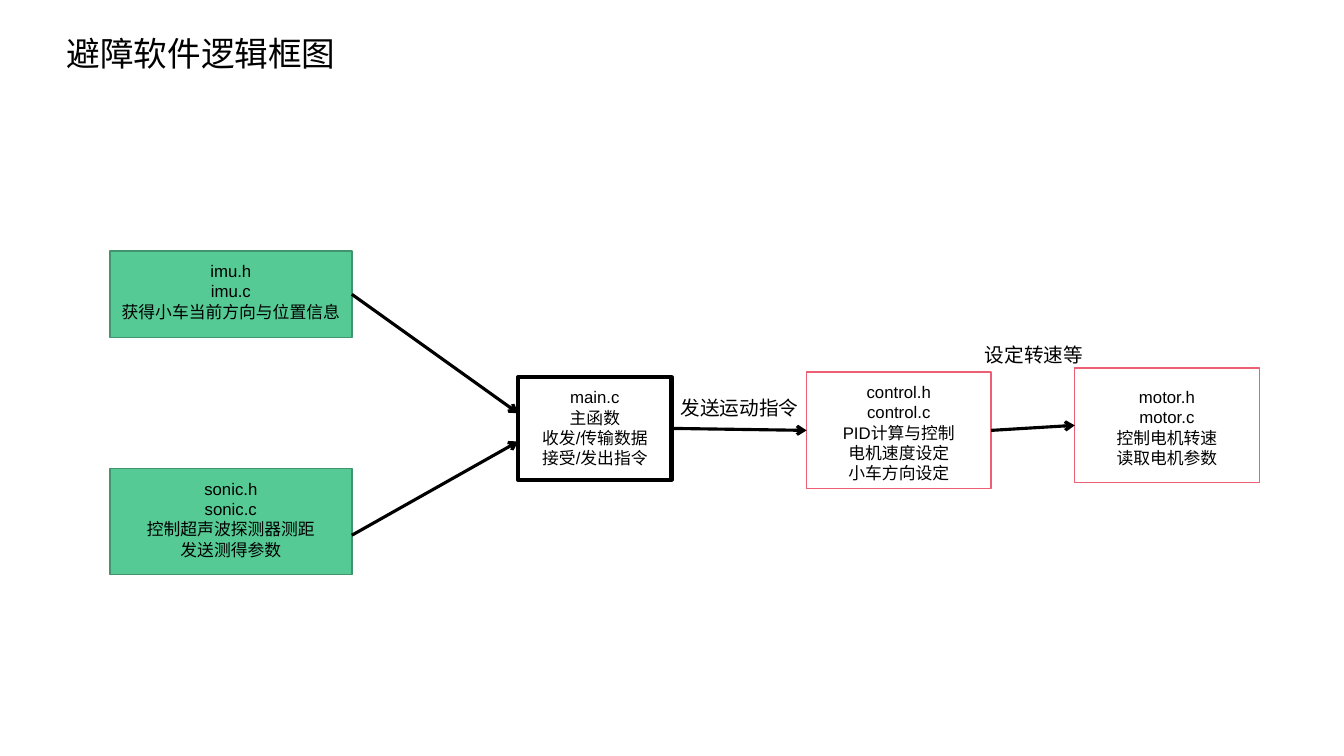
from lxml import etree
from pptx import Presentation
from pptx import util as u
from pptx.dml.color import RGBColor
from pptx.enum import shapes, text
from pptx.oxml.ns import qn

COLOURS = {"ink": "000000", "white": "FFFFFF", "green": "56CA95",
           "green_edge": "40956E", "pink_edge": "EC5F74"}

STYLES = {
    "sensor": {"fill": "green", "edge": "green_edge", "width": 1},
    "main": {"fill": None, "edge": "ink", "width": 3},
    "drive": {"fill": "white", "edge": "pink_edge", "width": 1},
}

# Name: style, left, top, width, height, space above the text, lines
MODULES = {
    "main": ("main", 5.14, 3.74, 1.52, 1.02, 0.1,
             ["main.c", "主函数", "收发/传输数据", "接受/发出指令"]),
    "control": ("drive", 8, 3.69, 1.83, 1.16, 0.1,
                ["control.h", "control.c", "PID计算与控制", "电机速度设定", "小车方向设定"]),
    "motor": ("drive", 10.66, 3.65, 1.83, 1.14, 0.19,
              ["motor.h", "motor.c", "控制电机转速", "读取电机参数"]),
    "sonic": ("sensor", 1.09, 4.65, 2.4, 1.05, 0.1,
              ["sonic.h", "sonic.c", "控制超声波探测器测距", "发送测得参数"]),
    "imu": ("sensor", 1.09, 2.49, 2.4, 0.86, 0.1,
            ["imu.h", "imu.c", "获得小车当前方向与位置信息"]),
}

# Text, left, top, width, height, size
LABELS = [
    ("避障软件逻辑框图", 0, 0.28, 3.99, 0.72, 24),
    ("发送运动指令", 6.43, 3.88, 1.81, 0.34, 14),
    ("设定转速等", 9.58, 3.35, 1.35, 0.34, 14),
]

# Start, end, and the modules joined at each end (None where off the middle)
ARROWS = [
    ((9.83, 4.23), (10.66, 4.23), "control", "motor"),
    ((6.66, 4.25), (8, 4.25), "main", "control"),
    ((3.49, 2.88), (5.14, 4.1), "imu", None),
    ((3.49, 5.31), (5.14, 4.38), None, None),
]
LEFT_SIDE, RIGHT_SIDE = 1, 3


def colour(name):
    return RGBColor.from_string(COLOURS[name])


def write_lines(frame, lines, size, frame_format):
    """Fill a text frame with centred lines."""
    for name, value in frame_format.items():
        setattr(frame, name, value)
    for index, line in enumerate(lines):
        para = frame.add_paragraph() if index else frame.paragraphs[0]
        para.alignment = text.PP_ALIGN.CENTER
        span = para.add_run()
        span.text = line
        for name, value in {"name": "Arial", "size": u.Pt(size)}.items():
            setattr(span.font, name, value)
        span.font.color.rgb = colour("ink")


def add_module(page, style_name, left, top, width, height, space_above, lines):
    style = STYLES[style_name]
    box = page.shapes.add_shape(shapes.MSO_SHAPE.RECTANGLE,
                                *map(u.Inches, (left, top, width, height)))
    box.shadow.inherit = False
    if style["fill"]:
        box.fill.solid()
        box.fill.fore_color.rgb = colour(style["fill"])
    else:
        box.fill.background()
    box.line.color.rgb = colour(style["edge"])
    box.line.width = u.Pt(style["width"])
    write_lines(box.text_frame, lines, 12, {
        "word_wrap": True, "vertical_anchor": text.MSO_ANCHOR.TOP,
        "margin_top": u.Inches(space_above), "margin_bottom": 0,
        "margin_left": u.Inches(0.05), "margin_right": u.Inches(0.05)})
    return box


def add_label(page, words, left, top, width, height, size):
    box = page.shapes.add_textbox(*map(u.Inches, (left, top, width, height)))
    write_lines(box.text_frame, [words], size, {"word_wrap": True})


def add_arrow(page, start, end, source, target):
    arrow = page.shapes.add_connector(shapes.MSO_CONNECTOR.STRAIGHT,
                                      *map(u.Inches, start + end))
    if source:
        arrow.begin_connect(source, RIGHT_SIDE)
    if target:
        arrow.end_connect(target, LEFT_SIDE)
    arrow.line.color.rgb = colour("ink")
    arrow.line.width = u.Pt(2.25)
    # Arrowhead, and no shadow
    properties = arrow.line.color and arrow._element.spPr
    etree.SubElement(properties.find(qn("a:ln")), qn("a:tailEnd"), type="arrow")
    etree.SubElement(properties, qn("a:effectLst"))


def main():
    deck = Presentation()
    deck.slide_width, deck.slide_height = u.Inches(13.33), u.Inches(7.5)
    page = deck.slides.add_slide(deck.slide_layouts[6])

    # Software modules
    boxes = {name: add_module(page, *module) for name, module in MODULES.items()}

    # Data flow
    for start, end, source, target in ARROWS:
        add_arrow(page, start, end, boxes.get(source), boxes.get(target))

    # Title and arrow labels
    for label in LABELS:
        add_label(page, *label)

    deck.save("out.pptx")


if __name__ == "__main__":
    main()
